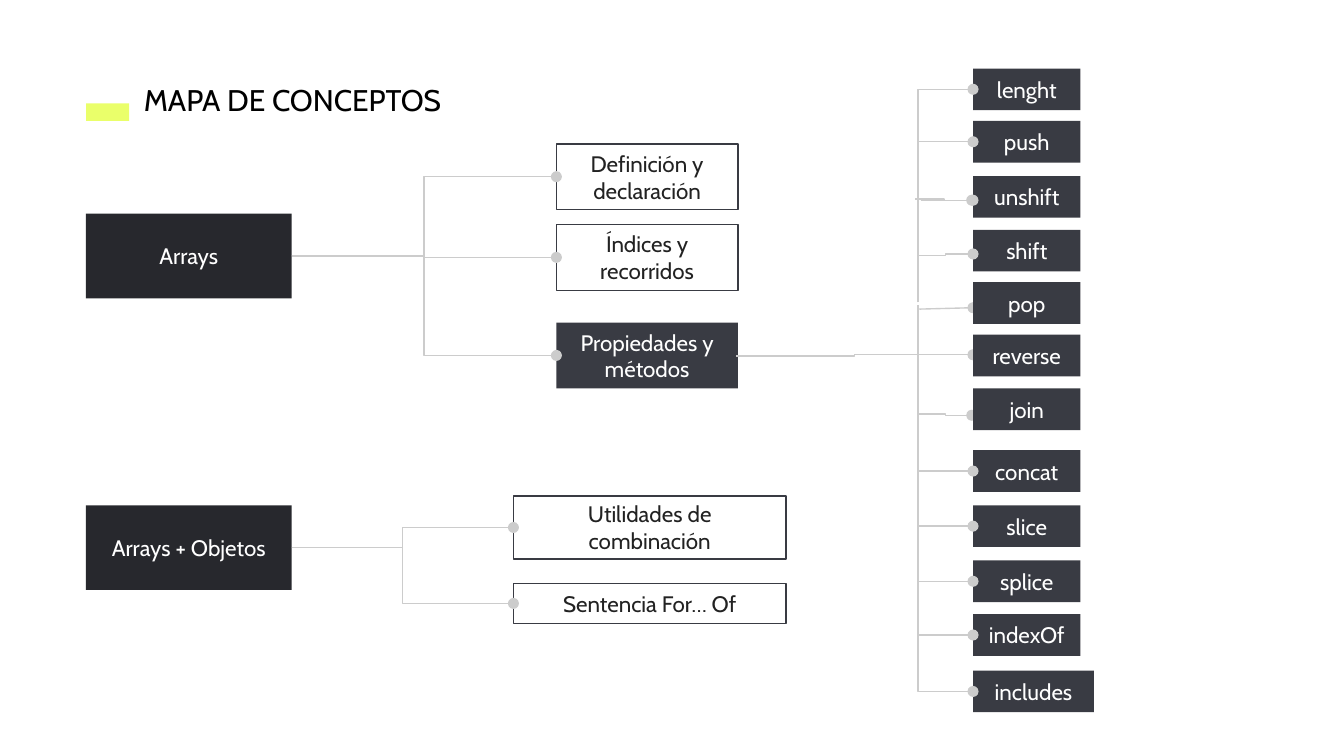
from lxml import etree
from pptx import Presentation
from pptx.dml.color import RGBColor
from pptx.enum.shapes import MSO_CONNECTOR, MSO_SHAPE
from pptx.enum.text import MSO_ANCHOR, MSO_AUTO_SIZE, PP_ALIGN
from pptx.oxml.ns import qn
from pptx.util import Inches, Pt

RECTANGLE = MSO_SHAPE.RECTANGLE
ELBOW, STRAIGHT = MSO_CONNECTOR.ELBOW, MSO_CONNECTOR.STRAIGHT
RIGHT_SIDE, LEFT_SIDE = 3, 1
SLIDE_WIDTH = 10
SLIDE_HEIGHT = SLIDE_WIDTH * 9 / 16
FONT = "Cabin"
BLACK, SLATE, INK, WHITE = "27282D", "393B43", "222222", "FFFFFF"
LIME, GREY = "EAFF6A", "CCCCCC"

TITLE = "MAPA DE CONCEPTOS"
TOPICS = [
    ("Arrays", (0.64, 1.59, 1.53, 0.63), BLACK),
    ("Arrays + Objetos", (0.64, 3.76, 1.53, 0.63), BLACK),
    ("Definición y declaración", (4.14, 1.07, 1.35, 0.49), None),
    ("Índices y recorridos", (4.14, 1.67, 1.35, 0.49), None),
    ("Propiedades y métodos", (4.14, 2.4, 1.35, 0.49), SLATE),
    ("Utilidades de combinación", (3.82, 3.69, 2.03, 0.47), WHITE),
    ("Sentencia For… Of", (3.82, 4.34, 2.03, 0.3), WHITE),
]
BRANCHES = {
    "Arrays": ["Propiedades y métodos", "Definición y declaración", "Índices y recorridos"],
    "Arrays + Objetos": ["Sentencia For… Of", "Utilidades de combinación"],
}
METHODS = [
    ("lenght", 0.51), ("push", 0.9), ("unshift", 1.31), ("shift", 1.71),
    ("pop", 2.1), ("reverse", 2.49), ("join", 2.89), ("concat", 3.35),
    ("slice", 3.76), ("splice", 4.17), ("indexOf", 4.57), ("includes", 4.99),
]
METHOD_LEFT, METHOD_WIDTH, METHOD_HEIGHT = 7.24, 0.8, 0.31
WIDE_METHODS = {"includes": 0.9}
LINKS_BEHIND = [
    (STRAIGHT, (6.84, 2.3), (7.24, 2.29)),
    (ELBOW, (5.48, 2.65), (7.24, 2.64)),
    (ELBOW, (6.84, 3.08), (7.23, 3.09)),
    (ELBOW, (6.85, 1.49), (7.23, 1.49)),
]
LINKS_IN_FRONT = [
    (ELBOW, (6.83, 1.9), (7.24, 1.89)),
    (ELBOW, (6.81, 1.48), (7.24, 1.49)),
]
TRUNK_LEFT = 6.83
TRUNK_STARTS = {
    "lenght": 2.21, "push": 2.25, "concat": 2.27, "slice": 2.69,
    "splice": 3.09, "indexOf": 3.5, "includes": 3.92,
}


def color(value):
    """Return the colour for a hex string."""
    return RGBColor.from_string(value)


def write(frame, text, size, ink, align):
    """Write one formatted run into a text frame."""
    frame.word_wrap = True
    frame.margin_left = frame.margin_right = Inches(0.1)
    frame.margin_top = frame.margin_bottom = Inches(0.1)
    paragraph = frame.paragraphs[0]
    paragraph.alignment = align
    run = paragraph.add_run()
    run.text = text
    run.font.name, run.font.size = FONT, Pt(size)
    run.font.color.rgb = color(ink)


def add_block(slide, bounds, fill):
    """Add a flat rectangle without an outline."""
    block = slide.shapes.add_shape(RECTANGLE, *map(Inches, bounds))
    block.shadow.inherit = False
    if fill:
        block.fill.solid()
        block.fill.fore_color.rgb = color(fill)
    else:
        block.fill.background()
    block.line.fill.background()
    return block


def add_concept(slide, label, bounds, fill):
    """Add a labelled block, outlined when it is light."""
    concept = add_block(slide, bounds, fill)
    light = fill in (None, WHITE)
    if light:
        concept.line.color.rgb = color(SLATE)
        concept.line.width = Pt(0.75)
    concept.text_frame.vertical_anchor = MSO_ANCHOR.MIDDLE
    write(concept.text_frame, label, 12, INK if light else WHITE, PP_ALIGN.CENTER)
    return concept


def add_link(slide, kind, start=(0, 0), end=(0, 0)):
    """Add a grey connector that ends in a dot."""
    link = slide.shapes.add_connector(kind, *map(Inches, (*start, *end)))
    link.line.color.rgb = color(GREY)
    link.line.width = Pt(0.75)
    properties = link._element.spPr
    etree.SubElement(properties.find(qn("a:ln")), qn("a:tailEnd"), type="oval")
    etree.SubElement(properties, qn("a:effectLst"))
    return link


def add_trunk_link(slide, start, end):
    """Add a link that runs vertically first and then across."""
    link = add_link(slide, ELBOW, start, end)
    adjustments = link._element.spPr.find(qn("a:prstGeom")).find(qn("a:avLst"))
    etree.SubElement(adjustments, qn("a:gd"), name="adj1", fmla="val 0")


def add_heading(slide):
    """Place the title and its accent bar."""
    add_block(slide, (0.64, 0.77, 0.32, 0.13), LIME)
    title = slide.shapes.title
    title.left, title.top, title.width, title.height = map(Inches, (0.97, 0.51, 2.69, 0.47))
    title.text_frame.vertical_anchor = MSO_ANCHOR.TOP
    title.text_frame.auto_size = MSO_AUTO_SIZE.SHAPE_TO_FIT_TEXT
    write(title.text_frame, TITLE, 16, "000000", PP_ALIGN.LEFT)


def add_topics(slide):
    """Draw the topics and the branches between them."""
    topics = {label: add_concept(slide, label, bounds, fill) for label, bounds, fill in TOPICS}
    for parent, children in BRANCHES.items():
        for child in children:
            branch = add_link(slide, ELBOW)
            branch.begin_connect(topics[parent], RIGHT_SIDE)
            branch.end_connect(topics[child], LEFT_SIDE)


def add_methods(slide):
    """Draw the column of methods and the links into it."""
    for link in LINKS_BEHIND:
        add_link(slide, *link)
    for label, top in METHODS:
        width = WIDE_METHODS.get(label, METHOD_WIDTH)
        add_concept(slide, label, (METHOD_LEFT, top, width, METHOD_HEIGHT), SLATE)
        if label in TRUNK_STARTS:
            middle = top + METHOD_HEIGHT / 2
            add_trunk_link(slide, (TRUNK_LEFT, TRUNK_STARTS[label]), (METHOD_LEFT, middle))
    for link in LINKS_IN_FRONT:
        add_link(slide, *link)


def main():
    """Build the concept map and save it."""
    deck = Presentation()
    deck.slide_width, deck.slide_height = Inches(SLIDE_WIDTH), Inches(SLIDE_HEIGHT)
    slide = deck.slides.add_slide(deck.slide_layouts[5])
    add_heading(slide)
    add_topics(slide)
    add_methods(slide)
    deck.save("out.pptx")


if __name__ == "__main__":
    main()
